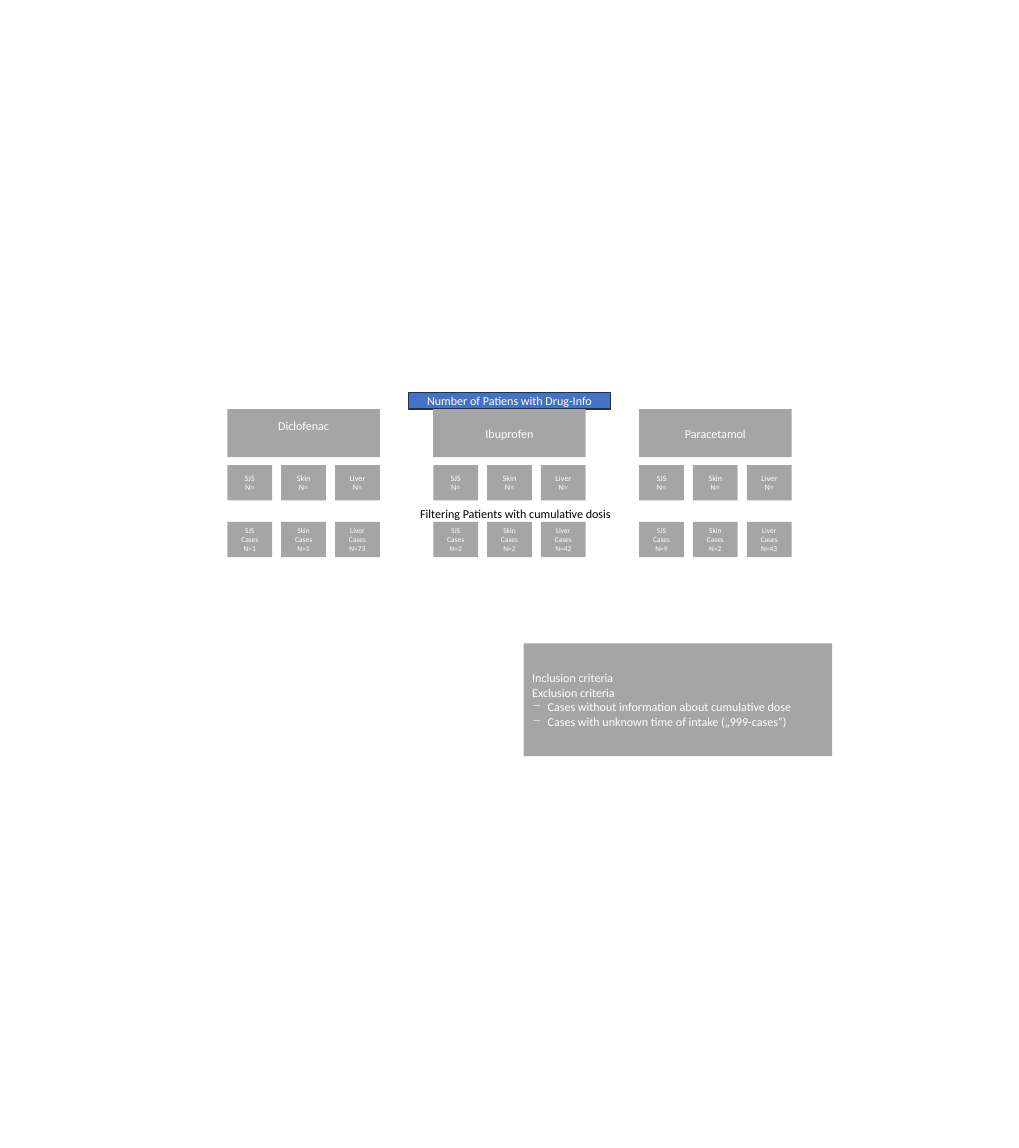
from lxml import etree
from pptx import Presentation
from pptx.dml.color import RGBColor
from pptx.enum import shapes, text
from pptx.oxml.ns import qn
from pptx.util import Inches, Pt

GRAY, BLUE, NAVY, WHITE, BLACK = "A5A5A5", "4472C4", "1E3256", "FFFFFF", "000000"
CENTER, LEFT = text.PP_ALIGN.CENTER, text.PP_ALIGN.LEFT


def write(shape, lines, size, color, align=CENTER):
    frame = shape.text_frame
    frame.word_wrap = True
    frame.text = "\n".join(lines)
    for paragraph in frame.paragraphs:
        paragraph.alignment = align
        if paragraph.text.startswith("Cases") and align == LEFT:
            properties = paragraph._p.get_or_add_pPr()
            properties.set("marL", str(Inches(0.18)))
            properties.set("indent", str(Inches(-0.18)))
            etree.SubElement(properties, qn("a:buChar")).set("char", "−")
        paragraph.font.size = Pt(size)
        paragraph.font.name = "Calibri"
        paragraph.font.color.rgb = RGBColor.from_string(color)


def add_box(left, top, width, height, lines, size=10.1, fill=GRAY, align=CENTER):
    box = slide.shapes.add_shape(shapes.MSO_SHAPE.RECTANGLE, Inches(left), Inches(top),
                                 Inches(width), Inches(height))
    box.shadow.inherit = False
    box.fill.solid()
    box.fill.fore_color.rgb = RGBColor.from_string(fill)
    box.line.fill.background()
    box.text_frame.vertical_anchor = text.MSO_ANCHOR.MIDDLE
    write(box, lines, size, WHITE, align)
    return box


presentation = Presentation()
presentation.slide_width = Inches(11.83)
presentation.slide_height = Inches(13.33)
slide = presentation.slides.add_slide(presentation.slide_layouts[6])

criteria = ["Inclusion criteria", "Exclusion criteria",
            "Cases without information about cumulative dose",
            "Cases with unknown time of intake („999-cases“)"]
add_box(6.08, 7.47, 3.58, 1.31, criteria, align=LEFT)

header = add_box(4.74, 4.56, 2.35, 0.19, ["Number of Patiens with Drug-Info"], fill=BLUE)
header.line.color.rgb = RGBColor.from_string(NAVY)
header.line.width = Pt(1)

drugs = {"Diclofenac": (1, 1, 73), "Ibuprofen": (2, 2, 42), "Paracetamol": (9, 2, 43)}
reactions = ["SJS", "Skin", "Liver"]
for column, (drug, counts) in enumerate(drugs.items()):
    drug_left = 2.64 + 2.39 * column
    drug_box = add_box(drug_left, 4.75, 1.77, 0.56, [drug])
    if drug == "Diclofenac":
        drug_box.text_frame.margin_bottom = Inches(0.22)
    for position, (reaction, count) in enumerate(zip(reactions, counts)):
        left = drug_left + 0.625 * position
        add_box(left, 5.4, 0.52, 0.41, [reaction, "N="], 6.8)
        add_box(left, 6.06, 0.52, 0.41, [reaction, f"Cases N={count}"], 6.2)

caption = slide.shapes.add_textbox(Inches(3.16), Inches(5.83), Inches(5.65), Inches(0.27))
write(caption, ["Filtering Patients with cumulative dosis"], 10.1, BLACK)
caption.text_frame.auto_size = text.MSO_AUTO_SIZE.SHAPE_TO_FIT_TEXT

presentation.save("out.pptx")
